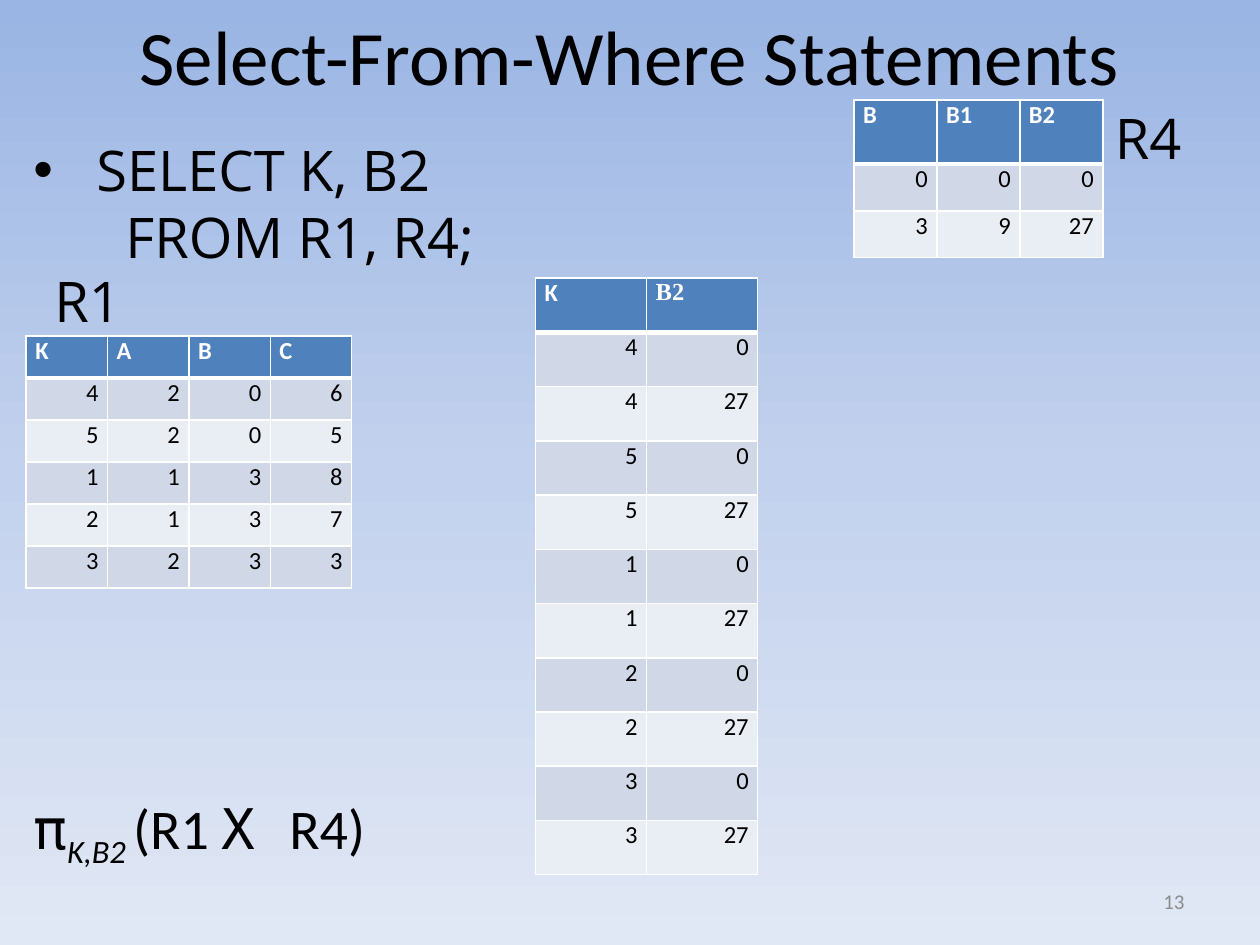
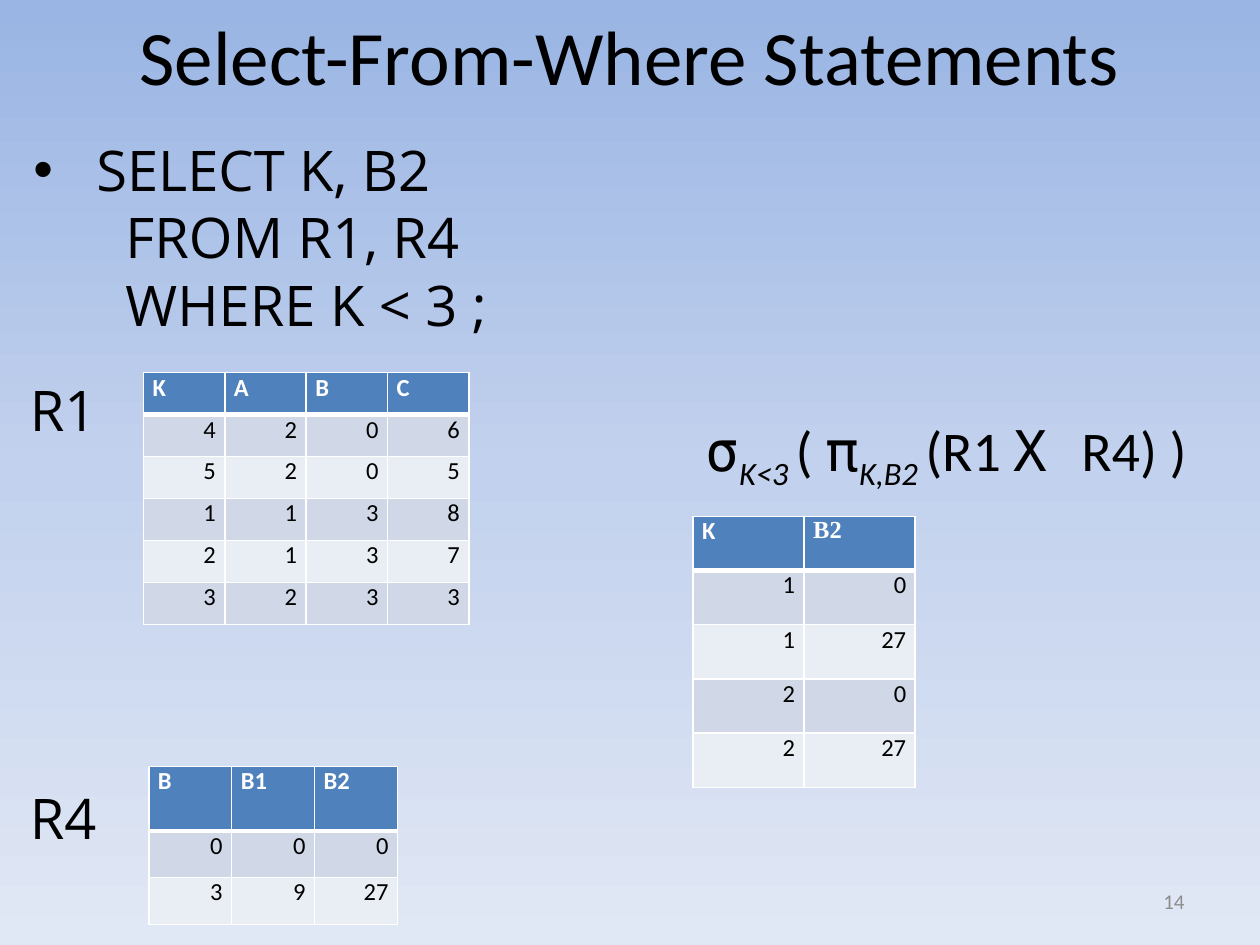
"""Build two slides on select-from-where statements and their result relations."""
from copy import deepcopy

from pptx import Presentation
from pptx.dml.color import RGBColor
from pptx.enum.text import MSO_ANCHOR, PP_ALIGN
from pptx.oxml.ns import qn
from pptx.util import Pt
from lxml.etree import SubElement

BLACK = RGBColor(0x00, 0x00, 0x00)
WHITE = RGBColor(0xFF, 0xFF, 0xFF)
GRAY = RGBColor(0x8C, 0x8C, 0x8C)
HEADER_BLUE = RGBColor(0x4F, 0x81, 0xBD)
BANDS = (RGBColor(0xD0, 0xD8, 0xE8), RGBColor(0xE9, 0xED, 0xF4))
BACKGROUND_STOPS = (
    (0, RGBColor(0x9A, 0xB5, 0xE4)),
    (0.5, RGBColor(0xC2, 0xD1, 0xED)),
    (1, RGBColor(0xE1, 0xE8, 0xF5)),
)

BODY, QUERY, SYMBOL, SERIF = "Calibri", "Open Sans", "DejaVu Sans Mono", "Times New Roman"
TITLE = "Select-From-Where Statements"

R1 = {
    "header": ("K", "A", "B", "C"),
    "rows": ((4, 2, 0, 6), (5, 2, 0, 5), (1, 1, 3, 8), (2, 1, 3, 7), (3, 2, 3, 3)),
    "column_width": 46.5, "header_height": 24, "row_height": 24,
}
R4 = {
    "header": ("B", "B1", "B2"),
    "rows": ((0, 0, 0), (3, 9, 27)),
    "column_width": 47.4, "header_height": 36.8, "row_height": 26.7,
}
PRODUCT = {
    "header": ("K", "B2"),
    "rows": [(r1_row[0], r4_row[2]) for r1_row in R1["rows"] for r4_row in R4["rows"]],
    "column_width": 63.5, "header_height": 31, "row_height": 31,
    "header_fonts": {"B2": SERIF},
}
SELECTION = {**PRODUCT, "rows": [row for row in PRODUCT["rows"] if row[0] < 3]}

PROJECTION = [("π", "symbol"), ("K,B2 ", "subscript"), ("(R1 ", "plain"), ("Χ ", "symbol")]

SLIDES = [
    {
        "number": 13,
        "query": ["SELECT K, B2", "FROM R1, R4;"],
        "tables": [(PRODUCT, 306, 159), (R4, 488, 57), (R1, 15, 192)],
        "labels": [("R4", 630, 55.5), ("R1", 24, 149)],
        "formula": PROJECTION + [("R4)", "plain")],
        "formula_box": (12, 450, 258, 46),
    },
    {
        "number": 14,
        "query": ["SELECT K, B2", "FROM R1, R4", "WHERE K < 3 ;"],
        "tables": [(SELECTION, 396, 295), (R4, 85, 438), (R1, 82, 213)],
        "labels": [("R4", 10, 444), ("R1", 10, 211)],
        "formula": [("σ", "symbol"), ("K<3 ", "subscript"), ("( ", "plain")]
        + PROJECTION + [("R4) )", "plain")],
        "formula_box": (396, 234, 324, 46),
    },
]


def add_run(paragraph, text, size, font=BODY, color=BLACK, bold=False):
    run = paragraph.add_run()
    run.text = text
    run.font.size = Pt(size)
    run.font.name = font
    run.font.color.rgb = color
    run.font.bold = bold
    return run


def add_text_frame(slide, left, top, width, height, anchor=MSO_ANCHOR.TOP):
    box = slide.shapes.add_textbox(Pt(left), Pt(top), Pt(width), Pt(height))
    box.text_frame.word_wrap = True
    box.text_frame.vertical_anchor = anchor
    return box.text_frame


def add_line(slide, text, box, size, font=BODY, color=BLACK,
             alignment=PP_ALIGN.LEFT, anchor=MSO_ANCHOR.TOP):
    paragraph = add_text_frame(slide, *box, anchor).paragraphs[0]
    paragraph.alignment = alignment
    add_run(paragraph, text, size, font, color)


def paint_background(slide):
    fill = slide.background.fill
    fill.gradient()
    fill.gradient_angle = 270
    stop_list = slide.background._cSld.find(".//" + qn("a:gsLst"))
    stop_list.append(deepcopy(stop_list[0]))
    for stop, (position, color) in zip(fill.gradient_stops, BACKGROUND_STOPS):
        stop.position = position
        stop.color.rgb = color


def add_query(slide, lines):
    frame = add_text_frame(slide, 12, 74, 456, 7.2 + 39 * len(lines))
    for index, line in enumerate(lines):
        paragraph = frame.add_paragraph() if index else frame.paragraphs[0]
        properties = paragraph._p.get_or_add_pPr()
        properties.set("marL", str(Pt(52.6 if index else 36)))
        properties.set("indent", str(Pt(0 if index else -36)))
        if index == 0:
            SubElement(properties, qn("a:buFont"), typeface="Arial")
            SubElement(properties, qn("a:buChar"), char="•")
        add_run(paragraph, line, 32, QUERY)


def add_formula(slide, parts, box):
    paragraph = add_text_frame(slide, *box).paragraphs[0]
    for text, style in parts:
        run = add_run(paragraph, text, 32, SYMBOL if style == "symbol" else BODY)
        if style == "subscript":
            run.font.italic = True
            run.font._element.set("baseline", "-25000")


def set_borders(cell, row_index):
    properties = cell._tc.get_or_add_tcPr()
    thick_side = {0: "B", 1: "T"}.get(row_index)
    for side in "LRTB":
        width = Pt(3 if side == thick_side else 1)
        line = SubElement(properties, qn("a:ln" + side), w=str(width))
        fill = SubElement(line, qn("a:solidFill"))
        SubElement(fill, qn("a:srgbClr"), val=str(WHITE))


def add_relation(slide, relation, left, top):
    rows = [relation["header"], *relation["rows"]]
    heights = [relation["header_height"]] + [relation["row_height"]] * len(relation["rows"])
    columns = len(relation["header"])
    table = slide.shapes.add_table(
        len(rows), columns, Pt(left), Pt(top),
        Pt(relation["column_width"] * columns), Pt(sum(heights))).table
    for column in table.columns:
        column.width = Pt(relation["column_width"])
    for row_index, (values, height) in enumerate(zip(rows, heights)):
        table.rows[row_index].height = Pt(height)
        is_header = row_index == 0
        for column_index, value in enumerate(values):
            cell = table.cell(row_index, column_index)
            cell.margin_left = cell.margin_right = Pt(5.2)
            cell.margin_top = cell.margin_bottom = 0
            set_borders(cell, row_index)
            cell.fill.solid()
            cell.fill.fore_color.rgb = HEADER_BLUE if is_header else BANDS[(row_index - 1) % 2]
            paragraph = cell.text_frame.paragraphs[0]
            paragraph.alignment = PP_ALIGN.LEFT if is_header else PP_ALIGN.RIGHT
            font = relation.get("header_fonts", {}).get(value, BODY)
            add_run(paragraph, str(value), 14, font, WHITE if is_header else BLACK, is_header)


def build_slide(presentation, content):
    slide = presentation.slides.add_slide(presentation.slide_layouts[6])
    paint_background(slide)
    add_line(slide, TITLE, (36, 1.5, 648, 60), 44,
             alignment=PP_ALIGN.CENTER, anchor=MSO_ANCHOR.MIDDLE)
    add_line(slide, str(content["number"]), (516, 500.5, 168, 28.8), 12, color=GRAY,
             alignment=PP_ALIGN.RIGHT, anchor=MSO_ANCHOR.MIDDLE)
    for relation, left, top in content["tables"]:
        add_relation(slide, relation, left, top)
    add_query(slide, content["query"])
    for text, left, top in content["labels"]:
        add_line(slide, text, (left, top, 72, 46), 32, QUERY)
    add_formula(slide, content["formula"], content["formula_box"])


def main():
    presentation = Presentation()
    presentation.slide_width, presentation.slide_height = Pt(720), Pt(540)
    for content in SLIDES:
        build_slide(presentation, content)
    presentation.save("out.pptx")


if __name__ == "__main__":
    main()
